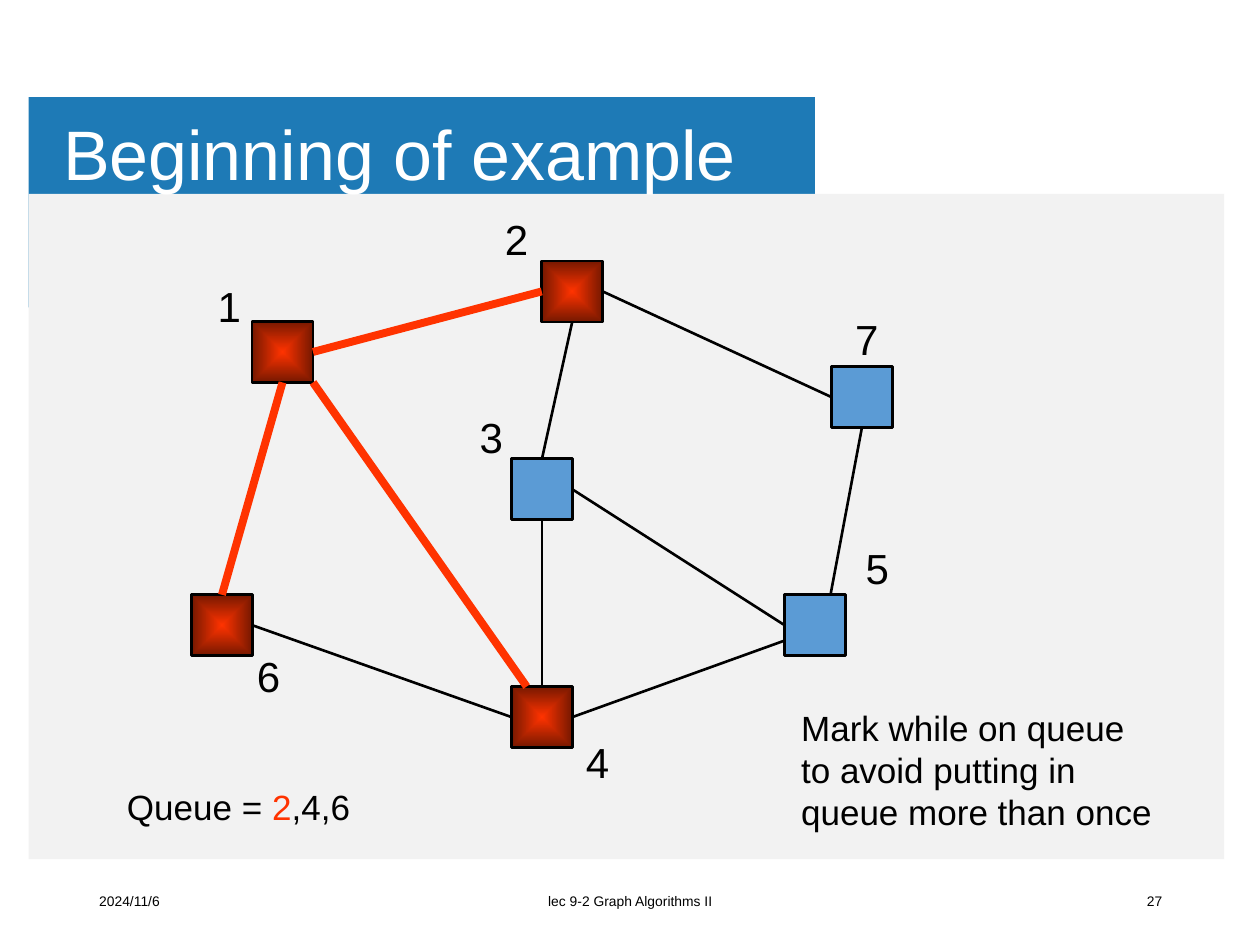
from lxml import etree
from pptx import Presentation
from pptx.dml.color import RGBColor
from pptx.enum.shapes import MSO_CONNECTOR, MSO_SHAPE
from pptx.enum.text import MSO_ANCHOR, MSO_AUTO_SIZE, PP_ALIGN
from pptx.oxml.ns import qn
from pptx.util import Cm, Pt

RECT = MSO_SHAPE.RECTANGLE
STRAIGHT = MSO_CONNECTOR.STRAIGHT
TOP, MIDDLE = MSO_ANCHOR.TOP, MSO_ANCHOR.MIDDLE
LEFT, CENTER, RIGHT = PP_ALIGN.LEFT, PP_ALIGN.CENTER, PP_ALIGN.RIGHT
NO_FIT = MSO_AUTO_SIZE.NONE

BLACK = RGBColor(0x00, 0x00, 0x00)
WHITE = RGBColor(0xFF, 0xFF, 0xFF)
TITLE_BLUE = RGBColor(0x1E, 0x7A, 0xB6)
PANEL_GREY = RGBColor(0xF2, 0xF2, 0xF2)
NODE_BLUE = RGBColor(0x5B, 0x9B, 0xD5)
RED = RGBColor(0xFF, 0x33, 0x00)
DARK_RED = RGBColor(0x76, 0x18, 0x00)

NODE_SIZE = 1.23
# node: (left, top), label (left, top), marked
NODES = {
    1: ((5.08, 6.48), (4.14, 5.54), True),
    6: ((3.86, 11.99), (4.93, 12.98), True),
    4: ((10.31, 13.84), (11.56, 14.73), True),
    5: ((15.82, 11.99), (17.2, 10.82), False),
    3: ((10.31, 9.25), (9.42, 8.18), False),
    2: ((10.92, 5.26), (9.93, 4.17), True),
    7: ((16.76, 7.39), (16.99, 6.2), False),
}

# Anchor points as fractions of a node's width and height
N, S, W, E = (0.5, 0), (0.5, 1), (0, 0.5), (1, 0.5)
SE, N_LEFT, N_RIGHT, W_LOW = (1, 1), (0.25, 0), (0.75, 0), (0, 0.75)
# from node, anchor, to node, anchor, followed by the search
EDGES = [
    (1, E, 2, W, True),
    (2, S, 3, N, False),
    (2, E, 7, W, False),
    (3, E, 5, W, False),
    (7, S, 5, N_RIGHT, False),
    (3, S, 4, N, False),
    (4, E, 5, W_LOW, False),
    (6, E, 4, W, False),
    (1, S, 6, N, True),
    (1, SE, 4, N_LEFT, True),
]


class GraphSlide:
    font = "Arial"

    def __init__(self, prs):
        self.s = prs.slides.add_slide(prs.slide_layouts[5])

    def rect(self, x, y, w, h, fill):
        sp = self.s.shapes.add_shape(RECT, Cm(x), Cm(y), Cm(w), Cm(h))
        sp.shadow.inherit = False
        sp.fill.solid()
        sp.fill.fore_color.rgb = fill
        sp.line.fill.background()
        return sp

    def backdrop(self, *panels):
        """Put the panels behind the title placeholder."""
        title = self.s.shapes.title
        for panel in panels:
            title.element.addprevious(self.rect(*panel).element)

    def run(self, p, text, size, color):
        r = p.add_run()
        r.text = text
        r.font.name = self.font
        r.font.size = Pt(size)
        r.font.color.rgb = color

    def title(self, text, x, y, w, h):
        sp = self.s.shapes.title
        sp.left, sp.top, sp.width, sp.height = Cm(x), Cm(y), Cm(w), Cm(h)
        tf = sp.text_frame
        tf.auto_size = NO_FIT
        tf.vertical_anchor = MIDDLE
        tf.margin_left = tf.margin_right = Cm(0.18)
        tf.margin_top = tf.margin_bottom = Cm(0.1)
        p = tf.paragraphs[0]
        p.alignment = LEFT
        p.line_spacing = 0.9
        self.run(p, text, 40, WHITE)

    def text(self, lines, x, y, w, h, size, align=LEFT, anchor=TOP, wrap=True):
        """Each line is a list of (text, colour) runs."""
        tf = self.s.shapes.add_textbox(Cm(x), Cm(y), Cm(w), Cm(h)).text_frame
        tf.word_wrap = wrap
        tf.vertical_anchor = anchor
        p = tf.paragraphs[0]
        p.alignment = align
        for i, runs in enumerate(lines):
            if i:
                p.add_line_break()
            for text, color in runs:
                self.run(p, text, size, color)

    def node(self, x, y, marked):
        sp = self.rect(x, y, NODE_SIZE, NODE_SIZE, NODE_BLUE)
        sp.line.color.rgb = BLACK
        sp.line.width = Pt(1.5)
        if marked:
            self.glow(sp)

    def glow(self, sp):
        """Fill with a gradient that runs from the centre to the sides."""
        sp.fill.gradient()
        for stop, color, pos in zip(sp.fill.gradient_stops, (RED, DARK_RED), (0, 1)):
            stop.color.rgb = color
            stop.position = pos
        grad = sp.element.spPr.find(qn("a:gradFill"))
        lin = grad.find(qn("a:lin"))
        shade = etree.Element(qn("a:path"), path="shape")
        etree.SubElement(shade, qn("a:fillToRect"), l="50000", t="50000", r="50000", b="50000")
        grad.replace(lin, shade)

    def edge(self, start, end, followed):
        c = self.s.shapes.add_connector(STRAIGHT, *map(Cm, start + end))
        c.line.color.rgb = RED if followed else BLACK
        c.line.width = Pt(4.5 if followed else 1.5)
        etree.SubElement(c.element.spPr, qn("a:effectLst"))


def anchor_point(node, anchor):
    (x, y), _, _ = NODES[node]
    return x + anchor[0] * NODE_SIZE, y + anchor[1] * NODE_SIZE


def main():
    prs = Presentation()
    prs.slide_width, prs.slide_height = Cm(25.4), Cm(19.05)
    g = GraphSlide(prs)

    g.backdrop((0.58, 1.96, 15.85, 4.24, TITLE_BLUE),
               (0.58, 3.91, 24.1, 13.41, PANEL_GREY))
    g.title("Beginning of example", 1.09, 1.93, 20.4, 2.49)

    for text, x, w, align in (("2024/11/6", 1.75, 5.72, LEFT),
                              ("lec 9-2 Graph Algorithms II", 8.41, 8.59, CENTER),
                              ("27", 17.96, 5.72, RIGHT)):
        g.text([[(text, BLACK)]], x, 17.65, w, 1.02, 7.9, align, MIDDLE)

    for (x, y), _, marked in NODES.values():
        g.node(x, y, marked)
    for a, a_anchor, b, b_anchor, followed in EDGES:
        g.edge(anchor_point(a, a_anchor), anchor_point(b, b_anchor), followed)
    for number, (_, (x, y), _) in NODES.items():
        g.text([[(str(number), BLACK)]], x, y, 2, 1.27, 24)

    g.text([[("Queue = ", BLACK), ("2", RED), (",4,6", BLACK)]],
           2.31, 15.72, 5.13, 1.12, 20, wrap=False)
    note = ("Mark while on queue", "to avoid putting in", "queue more than once")
    g.text([[(line, BLACK)] for line in note], 15.9, 14.12, 8.38, 2.82, 20)

    prs.save("out.pptx")


if __name__ == "__main__":
    main()
